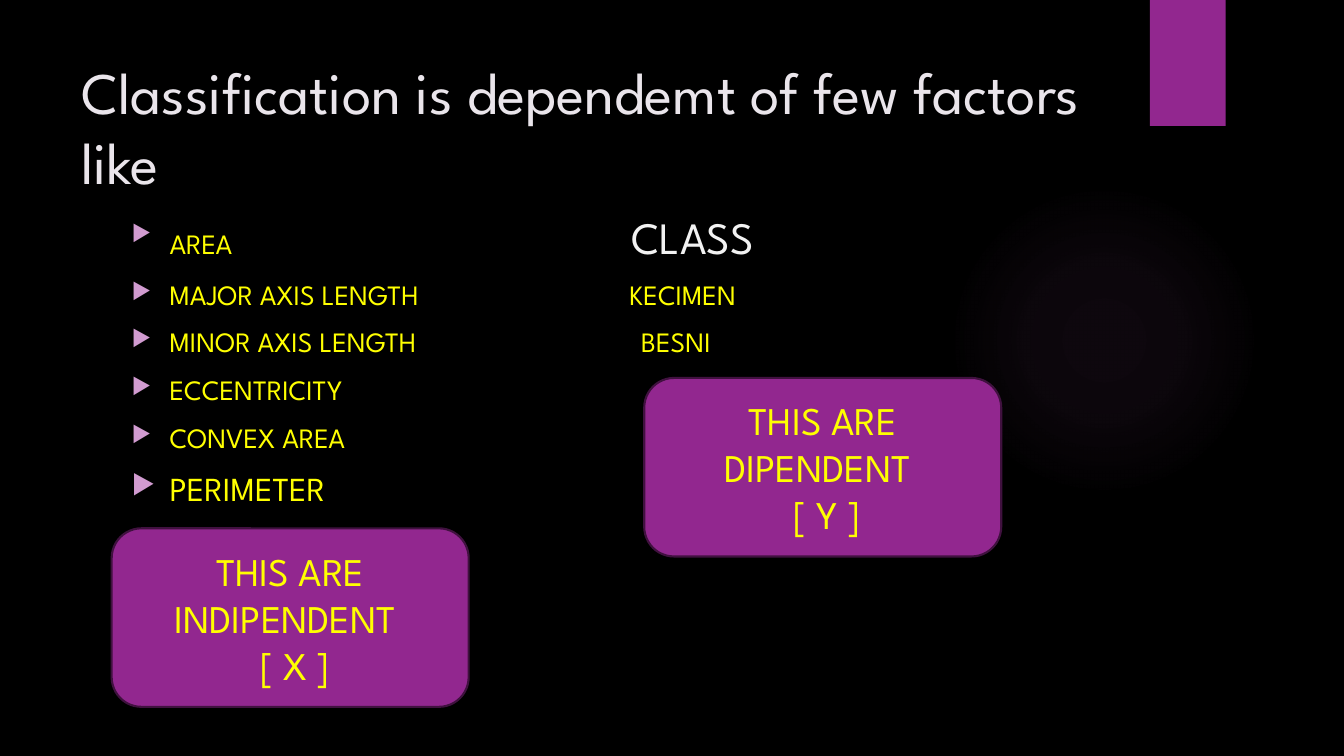
from dataclasses import dataclass

from lxml.etree import SubElement
from pptx import Presentation
from pptx.dml.color import RGBColor
from pptx.enum.shapes import MSO_SHAPE
from pptx.enum.text import MSO_ANCHOR, PP_ALIGN
from pptx.oxml import parse_xml
from pptx.oxml.ns import nsdecls, qn
from pptx.shapes.autoshape import Shape
from pptx.slide import Slide
from pptx.text.text import Font, _Paragraph
from pptx.util import Emu, Inches, Pt

# The slide is a grid of 32 columns by 18 rows of square cells
SLIDE_WIDTH, SLIDE_HEIGHT = Inches(40 / 3), Inches(7.5)
COLUMN, ROW = SLIDE_WIDTH / 32, SLIDE_HEIGHT / 18


@dataclass(frozen=True)
class Theme:
    font: str = "League Spartan"
    background: str = "000000"
    accent: str = "92278F"
    outline: str = "40113F"
    glow: str = "BA69B8"
    bullet: str = "D19BD0"
    title: str = "EAE5EB"
    heading: str = "F2F2F2"
    body: str = "FFFF00"
    title_size: int = 42
    heading_size: int = 32
    callout_size: int = 28
    large_size: int = 24
    body_size: int = 20


@dataclass(frozen=True)
class Area:
    column: float
    row: float
    columns: float
    rows: float

    def box(self) -> tuple[Emu, Emu, Emu, Emu]:
        return (Emu(round(self.column * COLUMN)), Emu(round(self.row * ROW)),
                Emu(round(self.columns * COLUMN)), Emu(round(self.rows * ROW)))


@dataclass(frozen=True)
class Factor:
    name: str
    size: int
    class_label: str = ""
    class_column: float = 0


@dataclass(frozen=True)
class Callout:
    area: Area
    lines: tuple[str, str]


THEME = Theme()
GLOW_AREA = Area(22.58, 4.39, 7.4, 7.4)
RIBBON_AREA = Area(27.38, 0, 1.8, 3)
TITLE_AREA = Area(1.7, 1.2, 24.7, 3.67)
FACTORS_AREA = Area(2.9, 4.87, 23.47, 11.54)
INDENT_COLUMNS = 0.9
GLOW_STOPS = ((0, 7), (36, 6), (69, 0))  # position and opacity in percent

FACTORS = (
    Factor("AREA", THEME.body_size, "CLASS", 11.9),
    Factor("MAJOR AXIS LENGTH", THEME.body_size, "KECIMEN", 11.85),
    Factor("MINOR AXIS LENGTH", THEME.body_size, "BESNI", 12.13),
    Factor("ECCENTRICITY", THEME.body_size),
    Factor("CONVEX AREA", THEME.body_size),
    Factor("PERIMETER", THEME.large_size),
)
CALLOUTS = (
    Callout(Area(2.66, 12.58, 8.5, 4.25), ("THIS ARE INDIPENDENT ", " [ X ]")),
    Callout(Area(15.34, 9, 8.5, 4.25), ("THIS ARE DIPENDENT ", " [ Y ]")),
)


def style_font(font: Font, size: int, color: str) -> None:
    font.name = THEME.font
    font.size = Pt(size)
    font.color.rgb = RGBColor.from_string(color)


def add_filled(slide: Slide, kind: MSO_SHAPE, area: Area, color: str) -> Shape:
    shape = slide.shapes.add_shape(kind, *area.box())
    shape.shadow.inherit = False
    shape.fill.solid()
    shape.fill.fore_color.rgb = RGBColor.from_string(color)
    shape.line.fill.background()
    return shape


def add_glow(slide: Slide) -> None:
    glow = add_filled(slide, MSO_SHAPE.OVAL, GLOW_AREA, THEME.glow)
    stops = "".join(
        f'<a:gs pos="{position * 1000}"><a:srgbClr val="{THEME.glow}">'
        f'<a:alpha val="{opacity * 1000}"/></a:srgbClr></a:gs>'
        for position, opacity in GLOW_STOPS)
    gradient = parse_xml(
        f'<a:gradFill {nsdecls("a")}><a:gsLst>{stops}</a:gsLst><a:path path="circle">'
        '<a:fillToRect l="50000" t="50000" r="50000" b="50000"/></a:path></a:gradFill>')
    properties = glow.element.spPr
    properties.replace(properties.find(qn("a:solidFill")), gradient)


def add_title(slide: Slide, text: str) -> None:
    title = slide.shapes.title
    title.left, title.top, title.width, title.height = TITLE_AREA.box()
    title.text_frame.text = text
    title.text_frame.word_wrap = True
    title.text_frame.vertical_anchor = MSO_ANCHOR.TOP
    heading = title.text_frame.paragraphs[0]
    heading.alignment = PP_ALIGN.LEFT
    heading.line_spacing = 1.0
    style_font(heading.font, THEME.title_size, THEME.title)


def add_bullet(paragraph: _Paragraph, tab_column: float) -> None:
    properties = paragraph._p.get_or_add_pPr()
    indent = round(INDENT_COLUMNS * COLUMN)
    properties.set("marL", str(indent))
    properties.set("indent", str(-indent))
    color = SubElement(properties, qn("a:buClr"))
    SubElement(color, qn("a:srgbClr"), val=THEME.bullet)
    SubElement(properties, qn("a:buSzPct"), val="80000")
    SubElement(properties, qn("a:buChar"), char="▶")
    if tab_column:
        tabs = SubElement(properties, qn("a:tabLst"))
        SubElement(tabs, qn("a:tab"), pos=str(round(tab_column * COLUMN)), algn="l")


def add_factors(slide: Slide) -> None:
    frame = slide.shapes.add_textbox(*FACTORS_AREA.box()).text_frame
    frame.word_wrap = True
    for index, factor in enumerate(FACTORS):
        row = frame.add_paragraph() if index else frame.paragraphs[0]
        add_bullet(row, factor.class_column)
        if index:
            row.space_before = Pt(10)
        style_font(row.font, factor.size, THEME.body)
        row.add_run().text = factor.name
        if factor.class_label:
            label = row.add_run()
            label.text = "\t" + factor.class_label
            if index == 0:
                style_font(label.font, THEME.heading_size, THEME.heading)


def add_callout(slide: Slide, callout: Callout) -> None:
    box = add_filled(slide, MSO_SHAPE.FLOWCHART_ALTERNATE_PROCESS, callout.area, THEME.accent)
    box.line.color.rgb = RGBColor.from_string(THEME.outline)
    box.line.width = Pt(1.5)
    frame = box.text_frame
    frame.word_wrap = True
    frame.vertical_anchor = MSO_ANCHOR.MIDDLE
    frame.text = "\n".join(callout.lines)
    for line in frame.paragraphs:
        line.alignment = PP_ALIGN.CENTER
        style_font(line.font, THEME.callout_size, THEME.body)


def main() -> None:
    presentation = Presentation()
    presentation.slide_width, presentation.slide_height = SLIDE_WIDTH, SLIDE_HEIGHT
    slide = presentation.slides.add_slide(presentation.slide_layouts[5])

    # Backdrop
    slide.background.fill.solid()
    slide.background.fill.fore_color.rgb = RGBColor.from_string(THEME.background)
    add_glow(slide)
    add_filled(slide, MSO_SHAPE.RECTANGLE, RIBBON_AREA, THEME.accent)

    # Title, factors with their classes, and the variable callouts
    add_title(slide, "Classification is dependemt of few factors like")
    add_factors(slide)
    for callout in CALLOUTS:
        add_callout(slide, callout)

    presentation.save("out.pptx")


if __name__ == "__main__":
    main()
